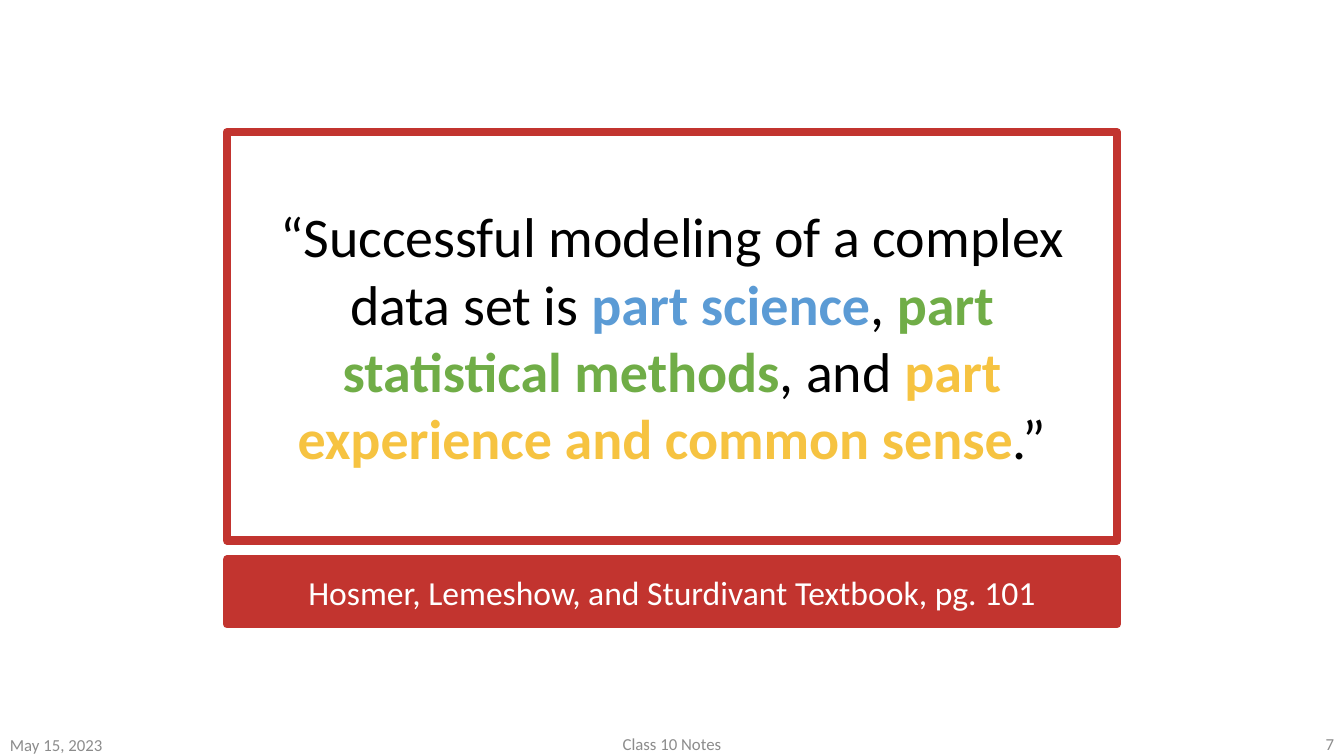
from dataclasses import dataclass

from pptx import Presentation
from pptx.dml.color import RGBColor
from pptx.enum.shapes import MSO_SHAPE
from pptx.enum.text import MSO_ANCHOR, PP_ALIGN
from pptx.shapes.autoshape import Shape
from pptx.slide import Slide
from pptx.util import Cm, Pt

RED = RGBColor(0xC2, 0x34, 0x2F)
BLUE = RGBColor(0x5B, 0x9B, 0xD5)
GREEN = RGBColor(0x70, 0xAD, 0x47)
YELLOW = RGBColor(0xF6, 0xC3, 0x41)
BLACK = RGBColor(0, 0, 0)
WHITE = RGBColor(0xFF, 0xFF, 0xFF)
GREY = RGBColor(0x8C, 0x8C, 0x8C)

FONT = "Calibri"
SLIDE_WIDTH, SLIDE_HEIGHT = 33.87, 19.05
PANEL_WIDTH = 22.43


@dataclass(frozen=True)
class Words:
    text: str
    color: RGBColor
    bold: bool = False


@dataclass(frozen=True)
class Panel:
    top: float
    height: float
    size: int
    words: tuple[Words, ...]
    fill: RGBColor | None = None


@dataclass(frozen=True)
class FooterItem:
    text: str
    left: float
    width: float
    height: float
    align: PP_ALIGN


PANELS = (
    Panel(3.33, 10.29, 40, (
        Words("“Successful modeling of a complex data set is ", BLACK),
        Words("part science", BLUE, True),
        Words(", ", BLACK),
        Words("part statistical methods", GREEN, True),
        Words(", and ", BLACK),
        Words("part experience and common sense", YELLOW, True),
        Words(".”", BLACK),
    )),
    Panel(14.1, 1.63, 24, (
        Words("Hosmer, Lemeshow, and Sturdivant Textbook, pg. 101", WHITE),
    ), RED),
)

FOOTER = (
    FooterItem("May 15, 2023", 0, 7.62, 0.58, PP_ALIGN.LEFT),
    FooterItem("Class 10 Notes", 11.22, 11.43, 0.63, PP_ALIGN.CENTER),
    FooterItem("7", SLIDE_WIDTH - 7.62, 7.62, 0.63, PP_ALIGN.RIGHT),
)


def write(shape: Shape, words: tuple[Words, ...], size: int, align: PP_ALIGN) -> None:
    frame = shape.text_frame
    frame.word_wrap = True
    frame.vertical_anchor = MSO_ANCHOR.MIDDLE
    frame.margin_top = frame.margin_bottom = 0
    paragraph = frame.paragraphs[0]
    paragraph.alignment = align
    for part in words:
        run = paragraph.add_run()
        run.text = part.text
        run.font.name = FONT
        run.font.size = Pt(size)
        run.font.bold = part.bold
        run.font.color.rgb = part.color


def draw_panel(slide: Slide, panel: Panel) -> None:
    box = slide.shapes.add_shape(
        MSO_SHAPE.RECTANGLE, Cm((SLIDE_WIDTH - PANEL_WIDTH) / 2), Cm(panel.top),
        Cm(PANEL_WIDTH), Cm(panel.height))
    box.shadow.inherit = False
    if panel.fill is None:
        box.fill.background()
    else:
        box.fill.solid()
        box.fill.fore_color.rgb = panel.fill
    box.line.color.rgb = RED
    box.line.width = Pt(6)
    write(box, panel.words, panel.size, PP_ALIGN.CENTER)


def draw_footer_item(slide: Slide, item: FooterItem) -> None:
    box = slide.shapes.add_textbox(
        Cm(item.left), Cm(SLIDE_HEIGHT - item.height), Cm(item.width), Cm(item.height))
    write(box, (Words(item.text, GREY),), 12, item.align)


def main() -> None:
    deck = Presentation()
    deck.slide_width, deck.slide_height = Cm(SLIDE_WIDTH), Cm(SLIDE_HEIGHT)
    slide = deck.slides.add_slide(deck.slide_layouts[6])
    for item in FOOTER:
        draw_footer_item(slide, item)
    for panel in PANELS:
        draw_panel(slide, panel)
    deck.save("out.pptx")


if __name__ == "__main__":
    main()
